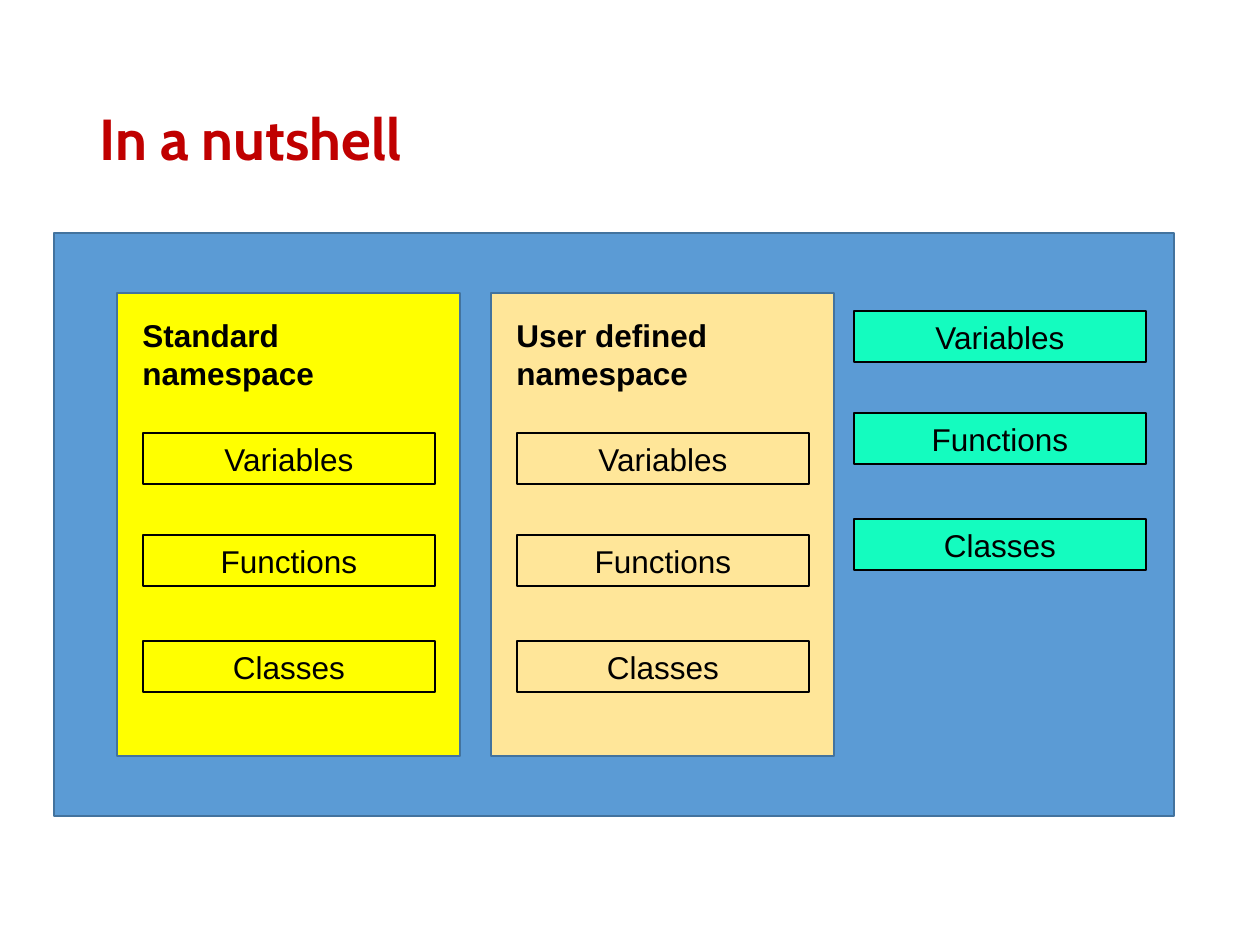
from pptx import Presentation
from pptx.dml.color import RGBColor
from pptx.enum.shapes import MSO_SHAPE
from pptx.enum.text import MSO_ANCHOR, MSO_AUTO_SIZE, PP_ALIGN
from pptx.util import Emu, Pt

EMU_PER_PX = 914400 / 126
TITLE_FONT = {"name": "Cabin", "size": Pt(33), "bold": True}
HEADING_FONT = {"name": "Arial", "size": Pt(18), "bold": True}
MEMBER_FONT = {"name": "Arial", "size": Pt(18), "bold": False}
GROWING_FRAME = {"word_wrap": True, "auto_size": MSO_AUTO_SIZE.SHAPE_TO_FIT_TEXT}
TITLE_FRAME = {
    "word_wrap": True,
    "auto_size": MSO_AUTO_SIZE.NONE,
    "vertical_anchor": MSO_ANCHOR.MIDDLE,
}
MEMBER_OFFSETS = {"Variables": 0, "Functions": 102, "Classes": 208}
MEMBER_WIDTH, MEMBER_HEIGHT = 292, 51
BORDER = "43739E"
BLACK = "000000"


def px(*lengths):
    """Turn pixel lengths into EMU."""
    return [Emu(round(length * EMU_PER_PX)) for length in lengths]


def colour(hex_code):
    """Turn a hex string into a colour."""
    return RGBColor.from_string(hex_code)


def set_values(target, values):
    """Set each named attribute on the target."""
    for attribute, value in values.items():
        setattr(target, attribute, value)


def write(holder, wording, font, hex_code, frame_values, align=PP_ALIGN.LEFT):
    """Write one formatted paragraph into a shape."""
    frame = holder.text_frame
    set_values(frame, frame_values)
    paragraph = frame.paragraphs[0]
    paragraph.alignment = align
    run = paragraph.add_run()
    run.text = wording
    set_values(run.font, font)
    run.font.color.rgb = colour(hex_code)
    return paragraph


def add_box(shapes, bounds, fill, border, weight):
    """Add a bordered rectangle, left open when it has no fill."""
    box = shapes.add_shape(MSO_SHAPE.RECTANGLE, *px(*bounds))
    box.shadow.inherit = False
    if fill:
        box.fill.solid()
        box.fill.fore_color.rgb = colour(fill)
    else:
        box.fill.background()
    box.line.color.rgb = colour(border)
    box.line.width = Pt(weight)
    return box


def add_members(shapes, left, top, fill=None):
    """Add the column of variables, functions and classes."""
    for member, offset in MEMBER_OFFSETS.items():
        bounds = (left, top + offset, MEMBER_WIDTH, MEMBER_HEIGHT)
        box = add_box(shapes, bounds, fill, BLACK, 0.75)
        write(box, member, MEMBER_FONT, BLACK, GROWING_FRAME, PP_ALIGN.CENTER)


def add_namespace(slide, heading, left, fill):
    """Add a grouped namespace panel with its heading and members."""
    shapes = slide.shapes.add_group_shape().shapes
    add_box(shapes, (left, 293, 343, 463), fill, BORDER, 1)
    label = shapes.add_textbox(*px(left + 13, 310, MEMBER_WIDTH, 89))
    write(label, heading, HEADING_FONT, BLACK, GROWING_FRAME)
    add_members(shapes, left + 26, 433)


def add_title(slide, wording):
    """Place and format the title."""
    title = slide.shapes.title
    title.left, title.top, title.width, title.height = px(87, 50, 1086, 183)
    heading = write(title, wording, TITLE_FONT, "C00000", TITLE_FRAME)
    heading.line_spacing = 0.9


def main():
    """Build and save the slide."""
    deck = Presentation()
    deck.slide_width, deck.slide_height = px(1260, 945)
    slide = deck.slides.add_slide(deck.slide_layouts[5])
    add_title(slide, "In a nutshell")
    add_box(slide.shapes, (54, 233, 1120, 583), "5B9BD5", BORDER, 1)
    add_namespace(slide, "Standard namespace", 117, "FFFF00")
    add_namespace(slide, "User defined namespace", 491, "FFE699")
    add_members(slide.shapes, 854, 311, "14FCBF")
    deck.save("out.pptx")


if __name__ == "__main__":
    main()
